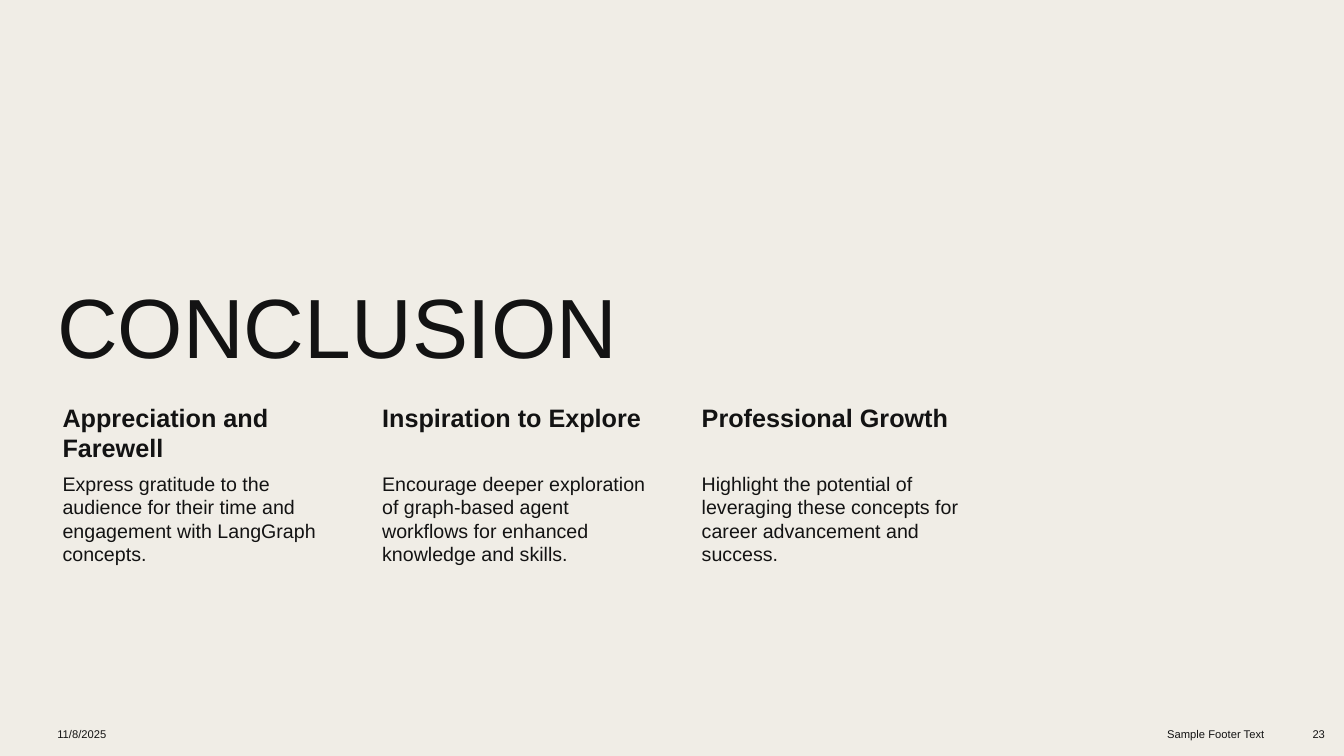
import pptx
import pptx.dml.color
import pptx.enum.text
import pptx.util
from pptx.util import Inches

COLORS = {"background": "F0EDE6", "text": "131313"}
ALIGN = pptx.enum.text.PP_ALIGN
ANCHOR = pptx.enum.text.MSO_ANCHOR

deck = pptx.Presentation()
deck.slide_width = Inches(13.33)
deck.slide_height = Inches(7.5)
page = deck.slides.add_slide(deck.slide_layouts[6])
page.background.fill.solid()
page.background.fill.fore_color.rgb = pptx.dml.color.RGBColor.from_string(COLORS["background"])


def add_text(text, left, top, width, height, size, anchor=ANCHOR.TOP, align=ALIGN.LEFT, bold=False):
    """Add a one-paragraph text box and return it for further settings."""
    box = page.shapes.add_textbox(Inches(left), Inches(top), Inches(width), Inches(height))
    frame = box.text_frame
    frame.word_wrap = True
    frame.vertical_anchor = anchor
    frame.text = text
    para = frame.paragraphs[0]
    para.alignment = align
    span = para.runs[0]
    span.font.name = "Arial"
    span.font.size = pptx.util.Pt(size)
    span.font.bold = bold
    span.font.color.rgb = pptx.dml.color.RGBColor.from_string(COLORS["text"])
    return box


title = add_text("CONCLUSION", 0.47, 1.78, 9.22, 2.01, 60, ANCHOR.BOTTOM)
title.text_frame.paragraphs[0].line_spacing = 0.9

takeaways = [
    ("Appreciation and Farewell",
     "Express gratitude to the audience for their time and engagement with LangGraph concepts."),
    ("Inspiration to Explore",
     "Encourage deeper exploration of graph-based agent workflows for enhanced knowledge and skills."),
    ("Professional Growth",
     "Highlight the potential of leveraging these concepts for career advancement and success."),
]
for column, (heading, detail) in enumerate(takeaways):
    left = 0.47 + column * 3.17
    heading_box = add_text(heading, left, 3.96, 2.88, 0.69, 18, bold=True)
    detail_box = add_text(detail, left, 4.66, 2.88, 1.31, 14)
    for box, inset in ((heading_box, 0.03), (detail_box, 0.02)):
        frame = box.text_frame
        frame.margin_left = Inches(0.15)
        frame.margin_top = frame.margin_right = frame.margin_bottom = Inches(inset)

footers = [
    ("11/8/2025", 0.47, 3.11, ALIGN.LEFT),
    ("Sample Footer Text", 9.73, 2.91, ALIGN.RIGHT),
    ("23", 12.74, 0.5, ALIGN.RIGHT),
]
for text, left, width, align in footers:
    footer = add_text(text, left, 7.1, width, 0.37, 8, ANCHOR.MIDDLE, align)
    footer.text_frame.paragraphs[0].space_after = pptx.util.Pt(6)

deck.save("out.pptx")
